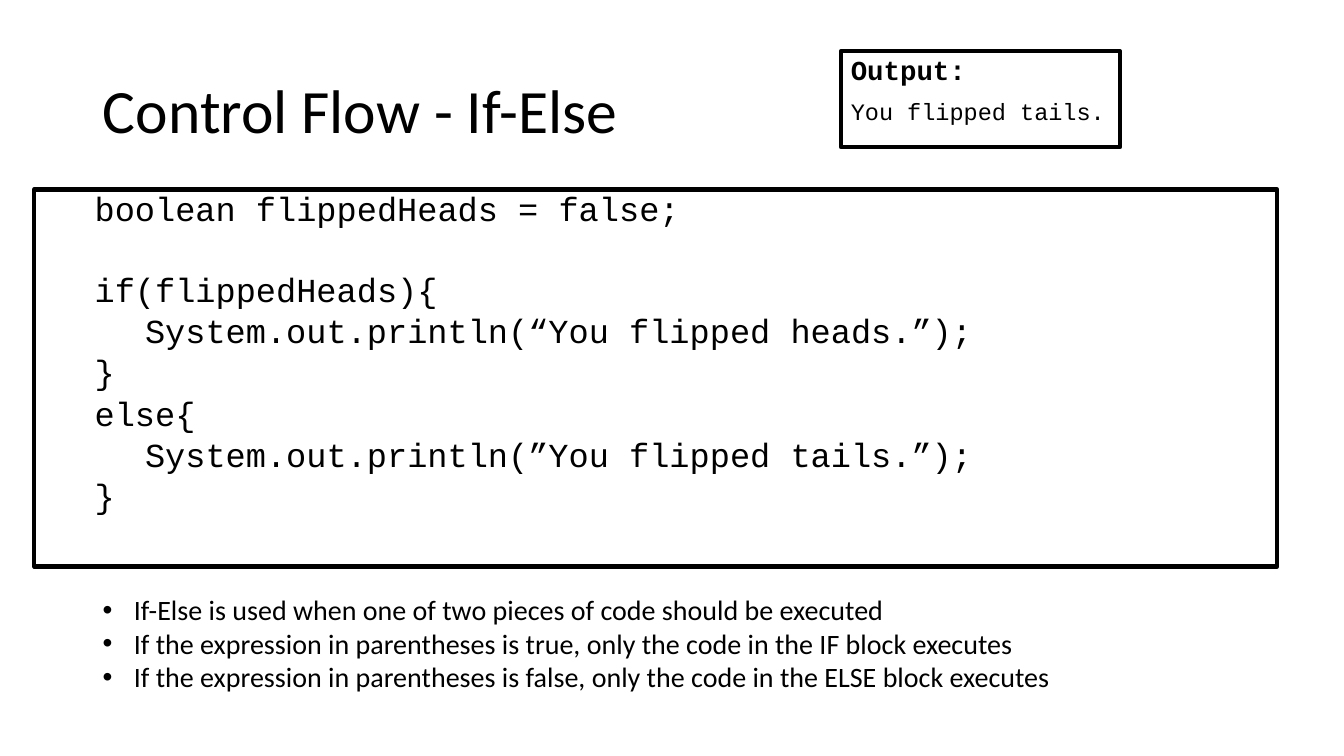
from pptx import Presentation
from pptx.dml.color import RGBColor
from pptx.enum.shapes import MSO_SHAPE as Preset
from pptx.enum.text import MSO_ANCHOR as Anchor, PP_ALIGN as Align
from pptx.oxml.ns import qn
from pptx.util import Pt
from lxml.etree import SubElement

PX = 9144
THEME = {
    "ink": RGBColor(0, 0, 0),
    "paper": RGBColor(255, 255, 255),
    "body": "Calibri",
    "code": "Courier New",
    "title_size": 44,
    "heading_size": 19.6,
    "output_size": 16.8,
    "code_size": 24,
    "bullet_size": 20,
    "border": 3,
}
CODE_STEP = 28


def place(shape, left, top, width, height):
    frame = {"left": left, "top": top, "width": width, "height": height}
    for name, value in frame.items():
        setattr(shape, name, value * PX)


def write(text_frame, lines):
    text_frame.word_wrap = True
    for index, (text, layout, font, margin, indent, bullet) in enumerate(lines):
        paragraph = text_frame.paragraphs[0] if index == 0 else text_frame.add_paragraph()
        properties = paragraph._p.get_or_add_pPr()
        properties.set("marL", str(margin * PX))
        properties.set("indent", str(indent * PX))
        if bullet:
            SubElement(properties, qn("a:buFont"), typeface="Arial")
            SubElement(properties, qn("a:buChar"), char=bullet)
        for name, value in {"alignment": Align.LEFT, **layout}.items():
            setattr(paragraph, name, value)
        run = paragraph.add_run()
        run.text = text
        run.font.color.rgb = THEME["ink"]
        for name, value in font.items():
            setattr(run.font, name, value)


presentation = Presentation()
presentation.slide_width = 1333 * PX
presentation.slide_height = 750 * PX
slide = presentation.slides.add_slide(presentation.slide_layouts[5])
slide.background.fill.solid()
slide.background.fill.fore_color.rgb = THEME["paper"]

title = slide.shapes.title
place(title, 92, 40, 1150, 145)
title.text_frame.vertical_anchor = Anchor.MIDDLE
title_font = {"name": THEME["body"], "size": Pt(THEME["title_size"])}
write(title.text_frame, [("Control Flow - If-Else", {"line_spacing": 0.9}, title_font, 0, 0, None)])

output_lines = [
    ("Output:", {"line_spacing": 0.9},
     {"name": THEME["code"], "size": Pt(THEME["heading_size"]), "bold": True}, 0, 0, None),
    ("You flipped tails.", {"line_spacing": 0.9, "space_before": Pt(10)},
     {"name": THEME["code"], "size": Pt(THEME["output_size"]), "bold": False}, 0, 0, None),
]

code_font = {"name": THEME["code"], "size": Pt(THEME["code_size"])}
code_lines = []
for text, indent, gap in [
    ("boolean flippedHeads = false;", 0, 0),
    ("if(flippedHeads){", 0, 5 + CODE_STEP),
    ("System.out.println(“You flipped heads.”);", 50, 5),
    ("}", 0, 5),
    ("else{", 0, 5),
    ("System.out.println(”You flipped tails.”);", 50, 5),
    ("}", 0, 5),
]:
    layout = {"line_spacing": 0.85, "space_before": Pt(gap)}
    code_lines.append((text, layout, code_font, 50, indent, None))

for frame, lines in [
    ((834, 51, 277, 95), output_lines),
    ((34, 188, 1233, 374), code_lines),
]:
    box = slide.shapes.add_shape(Preset.RECTANGLE, 0, 0, 0, 0)
    place(box, *frame)
    box.shadow.inherit = False
    box.fill.background()
    box.line.color.rgb = THEME["ink"]
    box.line.width = Pt(THEME["border"])
    box.text_frame.vertical_anchor = Anchor.TOP
    write(box.text_frame, lines)

bullet_font = {"name": THEME["body"], "size": Pt(THEME["bullet_size"])}
notes = [
    "If-Else is used when one of two pieces of code should be executed",
    "If the expression in parentheses is true, only the code in the IF block executes",
    "If the expression in parentheses is false, only the code in the ELSE block executes",
]
explanation = slide.shapes.add_textbox(0, 0, 0, 0)
place(explanation, 92, 583, 1150, 111)
write(explanation.text_frame, [(note, {}, bullet_font, 31, -31, "•") for note in notes])

presentation.save("out.pptx")
